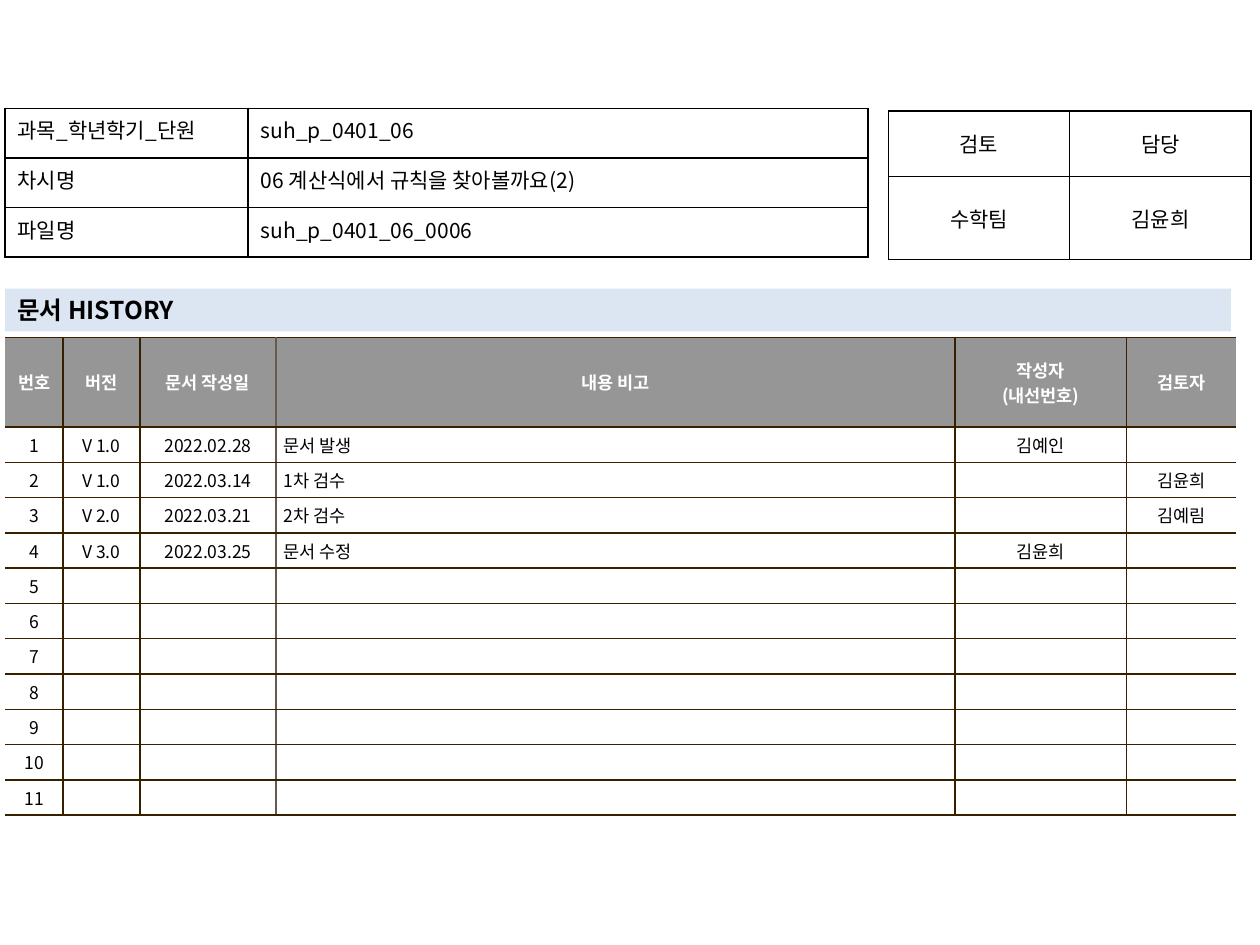
"""Build the document history sheet of a maths lesson."""
from dataclasses import dataclass

from lxml import etree
from pptx import Presentation
from pptx.dml.color import RGBColor
from pptx.enum.shapes import MSO_SHAPE
from pptx.enum.text import MSO_ANCHOR, PP_ALIGN
from pptx.oxml.ns import qn
from pptx.util import Inches, Pt

LEFT, CENTER, JUSTIFY = PP_ALIGN.LEFT, PP_ALIGN.CENTER, PP_ALIGN.JUSTIFY
TOP, MIDDLE = MSO_ANCHOR.TOP, MSO_ANCHOR.MIDDLE
RECTANGLE = MSO_SHAPE.RECTANGLE

BLACK = RGBColor(0x00, 0x00, 0x00)
WHITE = RGBColor(0xFF, 0xFF, 0xFF)
GREY = RGBColor(0x96, 0x96, 0x96)
PALE_BLUE = RGBColor(0xDC, 0xE6, 0xF2)
BROWN = RGBColor(0x36, 0x20, 0x00)
TAUPE = RGBColor(0x64, 0x5B, 0x4C)
FONT = "Noto Sans CJK KR"

LESSON_ROWS = [
    ("과목_학년학기_단원", "suh_p_0401_06"),
    ("차시명", "06 계산식에서 규칙을 찾아볼까요(2)"),
    ("파일명", "suh_p_0401_06_0006"),
]
REVIEW_ROWS = [("검토", "담당"), ("수학팀", "김윤희")]
HISTORY_HEADER = ("번호", "버전", "문서 작성일", "내용 비고", "작성자\n(내선번호)", "검토자")
HISTORY_ENTRIES = [
    ("V 1.0", "2022.02.28", "문서 발생", "김예인", ""),
    ("V 1.0", "2022.03.14", "1차 검수", "", "김윤희"),
    ("V 2.0", "2022.03.21", "2차 검수", "", "김예림"),
    ("V 3.0", "2022.03.25", "문서 수정", "김윤희", ""),
]
HISTORY_LENGTH = 11
NOTE_COLUMN = 3


@dataclass(frozen=True)
class Grid:
    """Place, size and text setting of a table, in inches and points."""

    left: float
    top: float
    columns: tuple
    rows: tuple
    size: int
    aligns: tuple
    anchor: MSO_ANCHOR
    insets: tuple
    border_colors: tuple


def style_paragraph(paragraph, size: int, color: RGBColor, bold: bool, align: PP_ALIGN) -> None:
    """Align a paragraph and format its runs, or its end mark when empty."""
    paragraph.alignment = align
    for run in paragraph.runs:
        run.font.size, run.font.bold, run.font.name = Pt(size), bold, FONT
        run.font.color.rgb = color
        etree.SubElement(run.font._element, qn("a:ea")).set("typeface", FONT)
    if not paragraph.runs:
        paragraph._p.get_or_add_endParaRPr().set("sz", str(size * 100))


def set_borders(cell, left, right, color: RGBColor) -> None:
    """Draw the four borders of a cell; a side without a colour stays open."""
    properties = cell._tc.get_or_add_tcPr()
    sides = {"lnL": left, "lnR": right, "lnT": color, "lnB": color}
    for side, side_color in sides.items():
        line = etree.SubElement(properties, qn(f"a:{side}"), w=str(Pt(1)))
        if side_color is None:
            etree.SubElement(line, qn("a:noFill"))
        else:
            fill = etree.SubElement(line, qn("a:solidFill"))
            etree.SubElement(fill, qn("a:srgbClr"), val=str(side_color))


def draw_grid(slide, grid: Grid, content: list, line_color: RGBColor):
    """Add a bordered table filled with the given content."""
    table = slide.shapes.add_table(
        len(grid.rows), len(grid.columns), Inches(grid.left), Inches(grid.top),
        Inches(sum(grid.columns)), Inches(sum(grid.rows)),
    ).table
    table.first_row = table.horz_banding = False
    for column, width in zip(table.columns, grid.columns):
        column.width = Inches(width)
    for row, height, texts in zip(table.rows, grid.rows, content):
        row.height = Inches(height)
        for index, (cell, text) in enumerate(zip(row.cells, texts)):
            across, down = grid.insets
            cell.margin_left = cell.margin_right = Inches(across)
            cell.margin_top = cell.margin_bottom = Inches(down)
            cell.vertical_anchor = grid.anchor
            set_borders(cell, *grid.border_colors[index:index + 2], line_color)
            cell.fill.background()
            cell.text_frame.text = text
            for paragraph in cell.text_frame.paragraphs:
                style_paragraph(paragraph, grid.size, BLACK, False, grid.aligns[index])
    return table


def draw_history(slide, grid: Grid) -> None:
    """Add the version history with its grey header row."""
    entries = HISTORY_ENTRIES + [("",) * 5] * (HISTORY_LENGTH - len(HISTORY_ENTRIES))
    numbered = [(str(number), *entry) for number, entry in enumerate(entries, 1)]
    table = draw_grid(slide, grid, [HISTORY_HEADER, *numbered], BROWN)
    for cell in table.iter_cells():
        cell.fill.solid()
        cell.fill.fore_color.rgb = WHITE
    for cell in table.rows[0].cells:
        cell.fill.fore_color.rgb = GREY
        for paragraph in cell.text_frame.paragraphs:
            paragraph.alignment = CENTER
            for run in paragraph.runs:
                run.font.bold, run.font.color.rgb = True, WHITE
    for row in range(1, HISTORY_LENGTH + 1):
        note = table.cell(row, NOTE_COLUMN).text_frame.paragraphs[0]
        hanging = note._p.get_or_add_pPr()
        hanging.set("marL", str(Inches(0.19)))
        hanging.set("indent", str(-Inches(0.19)))


def draw_heading(slide) -> None:
    """Add the pale band that titles the history."""
    heading = slide.shapes.add_shape(
        RECTANGLE, Inches(0.04), Inches(2.29), Inches(9.73), Inches(0.34))
    heading.shadow.inherit = False
    heading.fill.solid()
    heading.fill.fore_color.rgb = PALE_BLUE
    heading.line.fill.background()
    frame = heading.text_frame
    frame.word_wrap = True
    frame.vertical_anchor = MIDDLE
    frame.text = "문서 HISTORY"
    style_paragraph(frame.paragraphs[0], 14, BLACK, True, LEFT)


def main() -> None:
    """Build and save the slide."""
    presentation = Presentation()
    presentation.slide_width, presentation.slide_height = Inches(10), Inches(7.5)
    slide = presentation.slides.add_slide(presentation.slide_layouts[6])
    history = Grid(
        0.04, 2.68, (0.46, 0.61, 1.08, 5.39, 1.36, 0.87),
        (0.71,) + (0.28,) * HISTORY_LENGTH, 10,
        (CENTER, CENTER, CENTER, LEFT, CENTER, CENTER), MIDDLE, (0.06, 0.04),
        (None, BROWN, BROWN, TAUPE, BROWN, BROWN, None))
    review = Grid(
        7.05, 0.88, (1.44, 1.44), (0.52, 0.66), 12,
        (CENTER, CENTER), MIDDLE, (0.1, 0.05), (BLACK,) * 3)
    lesson = Grid(
        0.04, 0.86, (1.93, 4.92), (1.18 / 3,) * 3, 12,
        (JUSTIFY, LEFT), TOP, (0.1, 0.05), (BLACK,) * 3)
    draw_history(slide, history)
    draw_grid(slide, review, REVIEW_ROWS, BLACK)
    draw_heading(slide)
    draw_grid(slide, lesson, LESSON_ROWS, BLACK)
    presentation.save("out.pptx")


if __name__ == "__main__":
    main()
